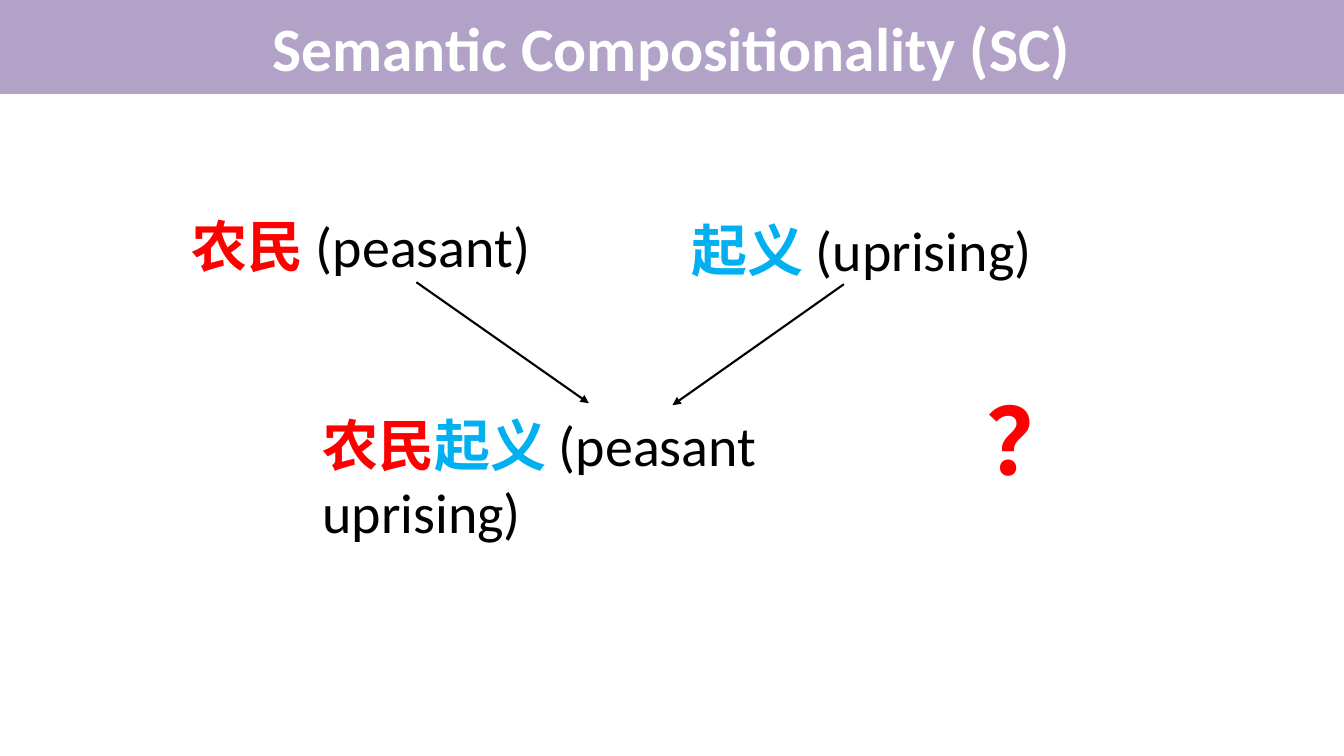
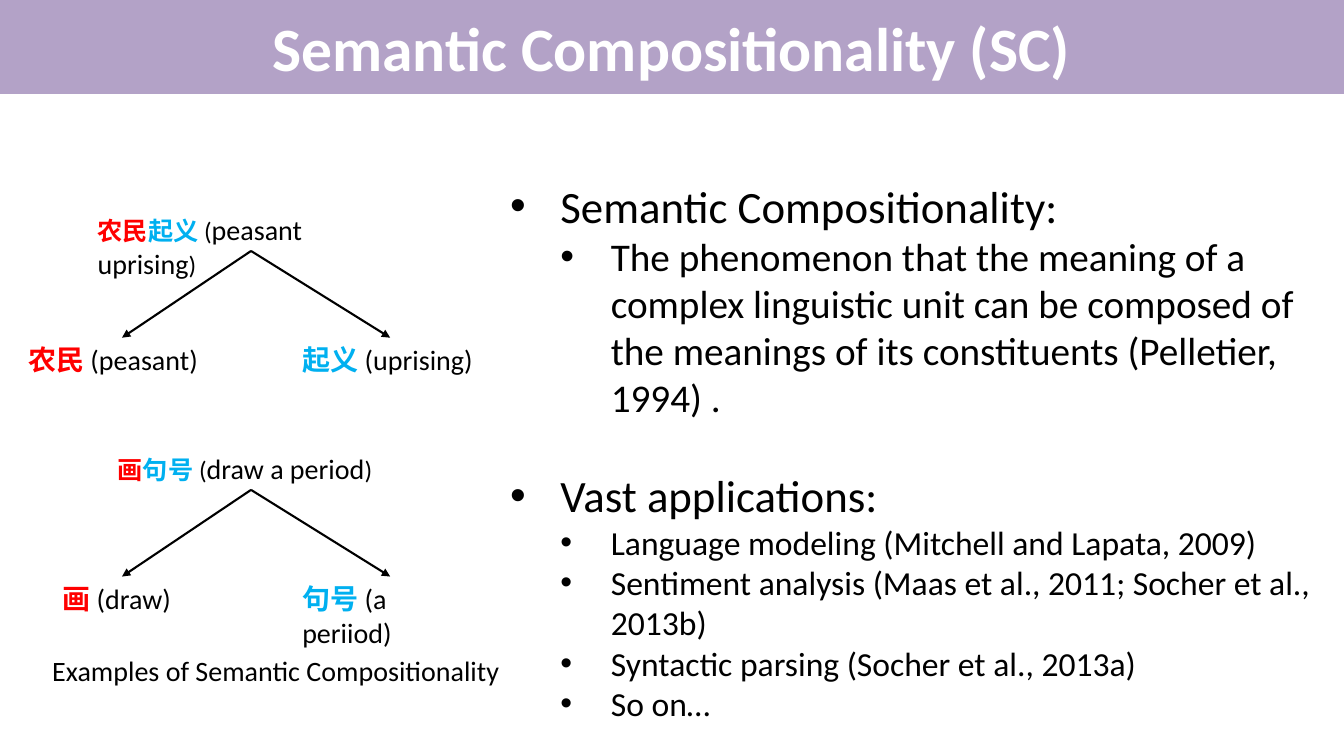
from lxml import etree
from pptx import Presentation
from pptx import util as u
from pptx.dml.color import RGBColor
from pptx.enum import shapes, text
from pptx.oxml import ns

PX = 9144
FONT = "Calibri"
LILAC = RGBColor(0xB3, 0xA2, 0xC7)
WHITE = RGBColor(0xFF, 0xFF, 0xFF)
BLACK = RGBColor(0x00, 0x00, 0x00)
RED = RGBColor(0xFF, 0x00, 0x00)
BLUE = RGBColor(0x00, 0xB0, 0xF0)


def add_words(page, left, top, width, height, spans):
    box = page.shapes.add_textbox(left * PX, top * PX, width * PX, height * PX)
    frame = box.text_frame
    frame.word_wrap = True
    frame.auto_size = text.MSO_AUTO_SIZE.SHAPE_TO_FIT_TEXT
    for words, size, color in spans:
        span = frame.paragraphs[0].add_run()
        span.text = words
        span.font.name = FONT
        span.font.size = u.Pt(size)
        span.font.bold = color != BLACK
        span.font.color.rgb = color


def add_arrow(page, start_x, start_y, end_x, end_y):
    arrow = page.shapes.add_connector(
        shapes.MSO_CONNECTOR.STRAIGHT, start_x * PX, start_y * PX, end_x * PX, end_y * PX)
    arrow.line.color.rgb = BLACK
    arrow.line.width = u.Pt(1.5)
    etree.SubElement(arrow.line._get_or_add_ln(), ns.qn("a:tailEnd"), type="triangle")
    etree.SubElement(arrow._element.spPr, ns.qn("a:effectLst"))


deck = Presentation()
deck.slide_width = 1333 * PX
deck.slide_height = 750 * PX

pages = [deck.slides.add_slide(deck.slide_layouts[6]) for _ in range(2)]
for page in pages:
    band = page.shapes.add_shape(shapes.MSO_SHAPE.RECTANGLE, 0, 0, deck.slide_width, 93 * PX)
    band.shadow.inherit = False
    band.fill.solid()
    band.fill.fore_color.rgb = LILAC
    band.line.color.rgb = LILAC
    band.line.width = u.Pt(1)
    band.text_frame.text = "Semantic Compositionality (SC)"
    band.text_frame.vertical_anchor = text.MSO_ANCHOR.MIDDLE
    para = band.text_frame.paragraphs[0]
    para.alignment = text.PP_ALIGN.CENTER
    para.font.name = FONT
    para.font.size = u.Pt(44)
    para.font.bold = True
    para.font.color.rgb = WHITE

question_page, definition_page = pages

add_words(question_page, 310, 402, 659, 77,
          [("农民", 40, RED), ("起义", 40, BLUE), (" (peasant uprising)", 40, BLACK)])
add_words(question_page, 180, 205, 395, 77, [("农民", 40, RED), (" (peasant)", 40, BLACK)])
add_words(question_page, 676, 209, 395, 77, [("起义", 40, BLUE), (" (uprising)", 40, BLACK)])
add_arrow(question_page, 837, 282, 667, 402)
add_arrow(question_page, 413, 280, 584, 400)
add_words(question_page, 969, 375, 101, 121, [("？", 66, RED)])

trees = [
    (206, 87, 324, 18, 207, "农民", "peasant", "起义", "uprising", "peasant uprising"),
    (443, 107, 284, 52, 138, "画", "draw", "句号", "a periiod", "draw a period"),
]
for top, root_left, root_width, leaf_left, leaf_width, first, first_gloss, second, second_gloss, gloss in trees:
    fork, leaf_top = top + 43, top + 129
    add_words(definition_page, root_left, top, root_width, 44,
              [(first, 18, RED), (second, 18, BLUE),
               (" (", 18, BLACK), (gloss, 20, BLACK), (")", 18, BLACK)])
    add_words(definition_page, leaf_left, leaf_top, leaf_width, 44,
              [(first, 20, RED), (f" ({first_gloss})", 20, BLACK)])
    add_words(definition_page, 290, leaf_top, 194, 44,
              [(second, 20, BLUE), (f" ({second_gloss})", 20, BLACK)])
    for tip in (121, 387):
        add_arrow(definition_page, 249, fork, tip, leaf_top)

add_words(definition_page, 42, 643, 486, 44,
          [("Examples of Semantic Compositionality", 20, BLACK)])

points = [
    (0, 32, 0, "Semantic Compositionality:"),
    (1, 28, 0, "The phenomenon that the meaning of a complex linguistic unit can be composed of "
               "the meanings of its constituents (Pelletier, 1994) ."),
    (0, 32, 34, "Vast applications:"),
    (1, 24, 0, "Language modeling (Mitchell and Lapata, 2009)"),
    (1, 24, 0, "Sentiment analysis (Maas et al., 2011; Socher et al., 2013b)"),
    (1, 24, 0, "Syntactic parsing (Socher et al., 2013a)"),
    (1, 24, 0, "So on…"),
]
box = definition_page.shapes.add_textbox(496 * PX, 172 * PX, 838 * PX, 562 * PX)
frame = box.text_frame
frame.word_wrap = True
frame.auto_size = text.MSO_AUTO_SIZE.SHAPE_TO_FIT_TEXT
frame.text = "\n".join(words for *_, words in points)
for para, (level, size, gap, _) in zip(frame.paragraphs, points):
    para.level = level
    para.space_before = u.Pt(gap)
    para.font.name = FONT
    para.font.size = u.Pt(size)
    para.font.color.rgb = BLACK
    props = para._p.get_or_add_pPr()
    props.set("marL", str(50 * (level + 1) * PX))
    props.set("indent", str(-50 * PX))
    bullet = etree.Element(ns.qn("a:buChar"), char="•")
    bullet_font = etree.Element(ns.qn("a:buFont"), typeface="Arial")
    defaults = props.find(ns.qn("a:defRPr"))
    defaults.addprevious(bullet_font)
    defaults.addprevious(bullet)
    for span in para.runs:
        span.font.name = FONT
        span.font.size = u.Pt(size)
        span.font.color.rgb = BLACK

for page in pages:
    for span in page.shapes[0].text_frame.paragraphs[0].runs:
        span.font.name = FONT
        span.font.size = u.Pt(44)
        span.font.bold = True
        span.font.color.rgb = WHITE

deck.save("out.pptx")
